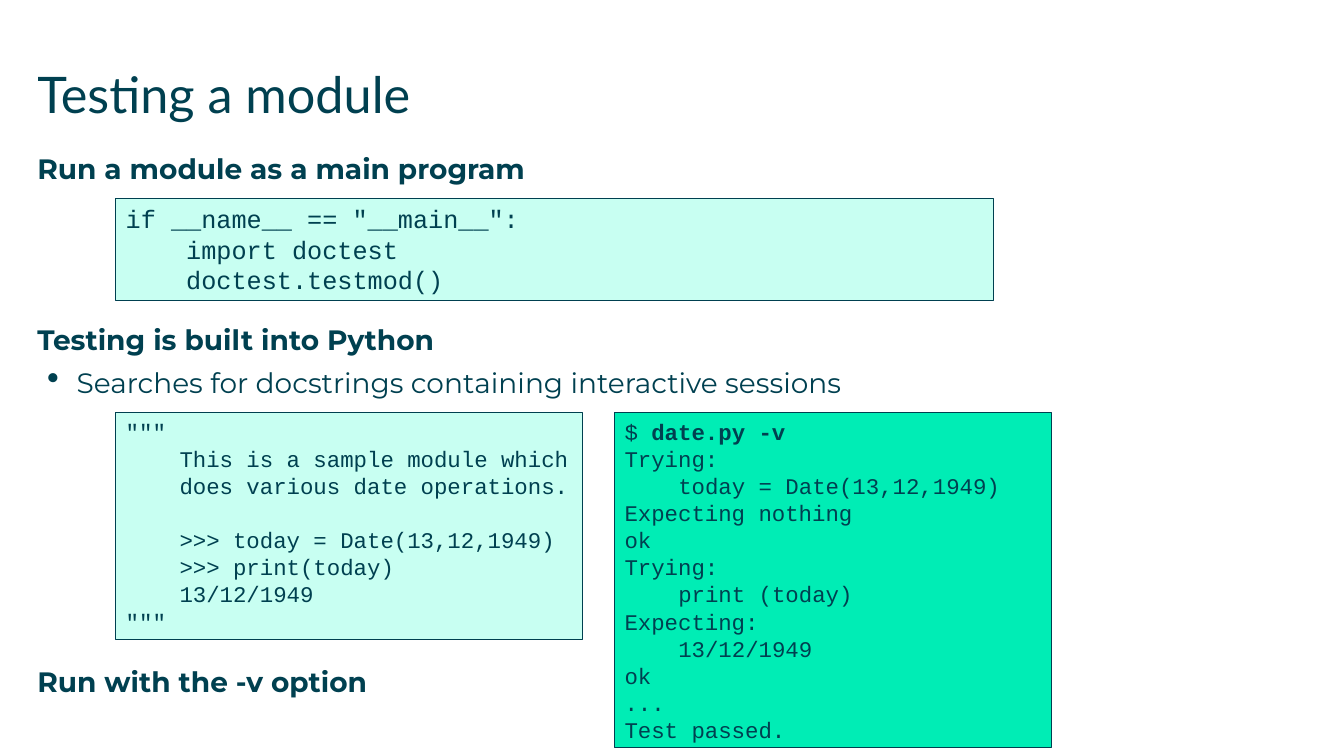
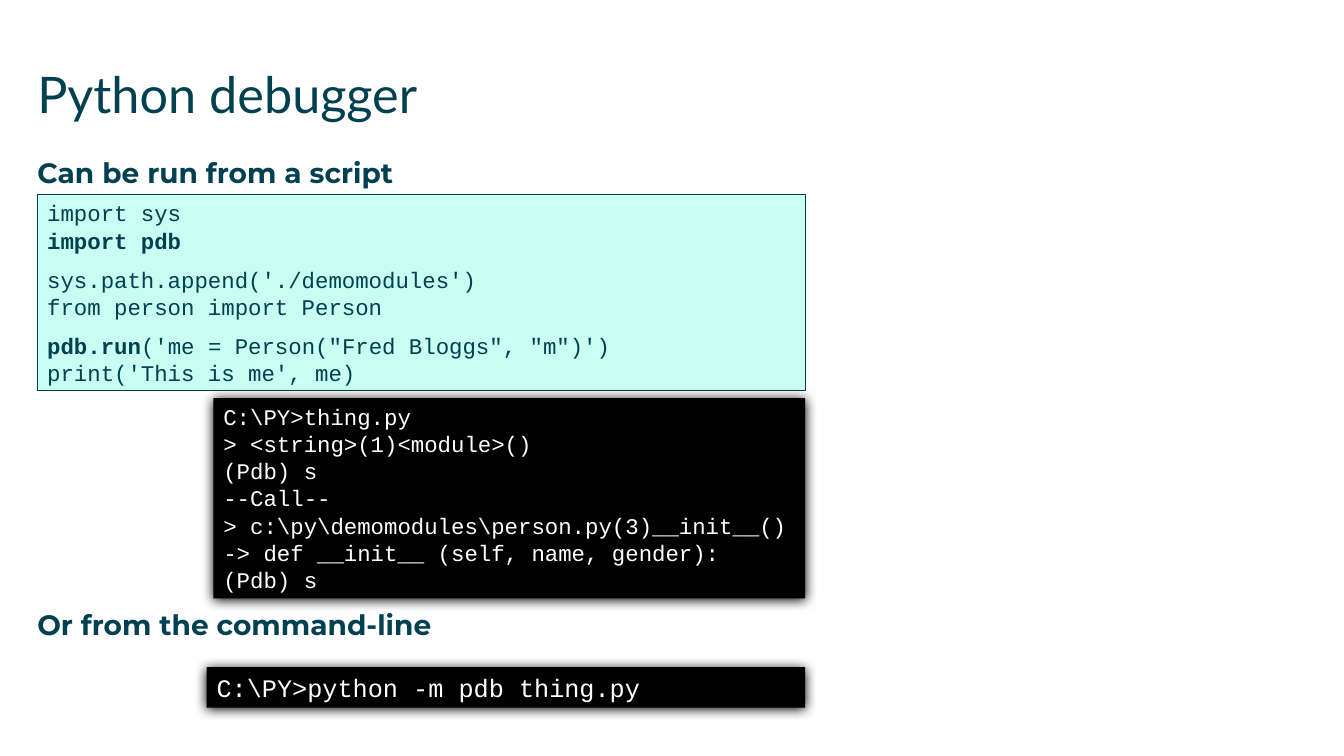
from pptx import Presentation
from pptx import util as u
from pptx.dml.color import RGBColor
from pptx.enum import shapes, text
from pptx.oxml.ns import qn
from lxml import etree

COLORS = {
    "ink": "004050",
    "code": "C8FFF2",
    "output": "00EDB5",
    "console": "000000",
    "white": "FFFFFF",
}
LEFT = 0.94
WIDTH = 32
LINE_FACTOR = 1.21
CHAR_FACTOR = 0.6
BULLET = "•"


def rgb(name):
    return RGBColor.from_string(COLORS[name])


def format_run(r, font, size, color="ink", bold=False):
    r.font.name = font
    r.font.size = u.Pt(size)
    r.font.bold = bold
    r.font.color.rgb = rgb(color)


def add_text(slide, top, height, lines, font, size, bold=False):
    box = slide.shapes.add_textbox(u.Cm(LEFT), u.Cm(top), u.Cm(WIDTH), u.Cm(height))
    tf = box.text_frame
    tf.word_wrap = True
    tf.margin_left = tf.margin_right = tf.margin_top = tf.margin_bottom = 0
    tf.text = "\n".join(lines)
    for p in tf.paragraphs:
        p.space_after = u.Pt(6.5)
        format_run(p.runs[0], font, size, bold=bold)
    return tf


def add_title(slide, title):
    add_text(slide, 1.6, 2.2, [title], "Lato", 36)


def add_heading(slide, top, heading, bullets=()):
    lines = [heading, *bullets]
    tf = add_text(slide, top, 1.1 * len(lines), lines, "Montserrat", 20, True)
    for p in tf.paragraphs[1:]:
        p.runs[0].font.bold = False
        pPr = p._p.get_or_add_pPr()
        pPr.set("marL", str(u.Cm(0.99)))
        pPr.set("indent", str(u.Cm(-0.74)))
        etree.SubElement(pPr, qn("a:buSzPct"), val="125000")
        etree.SubElement(pPr, qn("a:buChar"), char=BULLET)


def add_glow(sp):
    effects = sp._element.spPr.find(qn("a:effectLst"))
    shadow = etree.SubElement(effects, qn("a:outerShdw"), blurRad=str(u.Pt(8.5)),
                              dist=str(u.Pt(1)), dir="5400000", rotWithShape="0")
    etree.SubElement(shadow, qn("a:srgbClr"), val=COLORS["console"])


def add_code(slide, box, lines, fill="code", size=16, gap=8.5):
    sp = slide.shapes.add_shape(shapes.MSO_SHAPE.RECTANGLE, *map(u.Cm, box))
    sp.shadow.inherit = False
    sp.fill.solid()
    sp.fill.fore_color.rgb = rgb(fill)
    color = "ink"
    if fill == "console":
        color = "white"
        sp.line.fill.background()
        add_glow(sp)
    else:
        sp.line.color.rgb = rgb("ink")
        sp.line.width = u.Pt(0.75)

    tf = sp.text_frame
    tf.word_wrap = True
    tf.vertical_anchor = text.MSO_ANCHOR.TOP
    p, space = tf.paragraphs[0], 0
    for number, line in enumerate(lines):
        if not line:
            space = gap
            continue
        if number:
            p = tf.add_paragraph()
        p.alignment = text.PP_ALIGN.LEFT
        p.line_spacing = u.Pt(size * LINE_FACTOR)
        p.space_before = u.Pt(space)
        space = 0
        code = line.lstrip()
        indent = (len(line) - len(code)) * size * CHAR_FACTOR
        p._p.get_or_add_pPr().set("marL", str(u.Pt(indent)))
        for i, part in enumerate(code.split("**")):
            if part:
                r = p.add_run()
                r.text = part
                format_run(r, "Courier New", size, color, bold=i % 2 == 1)


def build_testing(slide):
    add_title(slide, "Testing a module")
    add_heading(slide, 3.81, "Run a module as a main program")
    add_code(slide, (2.92, 5, 22.12, 2.57), [
        'if __name__ == "__main__":',
        "    import doctest",
        "    doctest.testmod()",
    ], size=18)
    add_heading(slide, 8.13, "Testing is built into Python",
                ["Searches for docstrings containing interactive sessions"])
    add_code(slide, (2.92, 10.4, 11.75, 5.72), [
        '"""',
        "    This is a sample module which",
        "    does various date operations.",
        "",
        "    >>> today = Date(13,12,1949)",
        "    >>> print(today)",
        "    13/12/1949",
        '"""',
    ], gap=16 * LINE_FACTOR)
    add_heading(slide, 16.75, "Run with the -v option")
    add_code(slide, (15.49, 10.4, 11, 8.43), [
        "$ **date.py -v**",
        "Trying:",
        "    today = Date(13,12,1949)",
        "Expecting nothing",
        "ok",
        "Trying:",
        "    print (today)",
        "Expecting:",
        "    13/12/1949",
        "ok",
        "...",
        "Test passed.",
    ], fill="output")


def build_debugger(slide):
    add_title(slide, "Python debugger")
    add_heading(slide, 3.92, "Can be run from a script")
    add_code(slide, (LEFT, 4.9, 19.35, 4.95), [
        "import sys",
        "**import pdb**",
        "",
        "sys.path.append('./demomodules')",
        "from person import Person",
        "",
        "**pdb.run**('me = Person(\"Fred Bloggs\", \"m\")')",
        "print('This is me', me)",
    ])
    add_code(slide, (5.38, 10.03, 14.91, 5.05), [
        "C:\\PY>thing.py",
        "> <string>(1)<module>()",
        "(Pdb) s",
        "--Call--",
        "> c:\\py\\demomodules\\person.py(3)__init__()",
        "-> def __init__ (self, name, gender):",
        "(Pdb) s",
    ], fill="console")
    add_heading(slide, 15.32, "Or from the command-line")
    add_code(slide, (5.21, 16.81, 15.08, 1.02),
             ["C:\\PY>python -m pdb thing.py"], fill="console", size=18)


def main():
    prs = Presentation()
    prs.slide_width = u.Cm(33.87)
    prs.slide_height = u.Cm(19.05)
    for build in (build_testing, build_debugger):
        build(prs.slides.add_slide(prs.slide_layouts[6]))
    prs.save("out.pptx")


if __name__ == "__main__":
    main()
